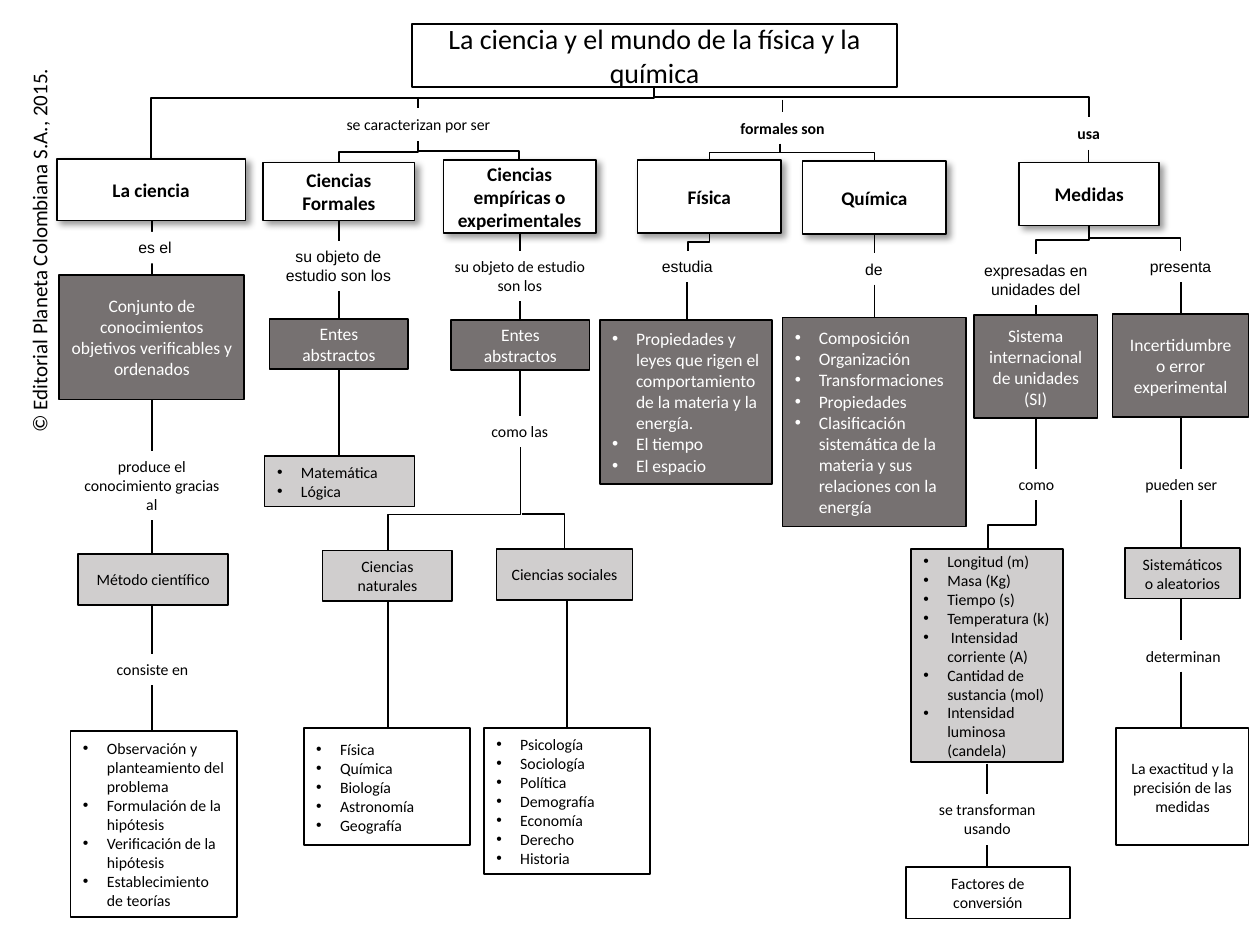
from dataclasses import dataclass

from lxml import etree
from pptx import Presentation, util as u
from pptx.dml.color import RGBColor
from pptx.enum import shapes, text
from pptx.oxml.ns import qn


@dataclass(frozen=True)
class Level:
    """Look of one level of the concept map."""

    fill: str = "FFFFFF"
    ink: str = "000000"
    size: int = 9
    bold: bool = False
    shadow: bool = False


@dataclass(frozen=True)
class Theme:
    """Colours, fonts and type sizes of the slide."""

    ink: str = "000000"
    paper: str = "FFFFFF"
    body: str = "Calibri"
    alternate: str = "Arial"
    label: int = 9
    credit: int = 12
    line: float = 1
    title = Level(size=16)
    concept = Level(size=11, bold=True, shadow=True)
    object = Level("767171", "FFFFFF", 10)
    branch = Level("D0CECE")
    leaf = Level()


def write(shape, content, *, size, font, color, bold=False, align=text.PP_ALIGN.CENTER):
    """Fill a shape with one paragraph, or with bullets when content is a list."""
    bulleted = isinstance(content, list)
    frame = shape.text_frame
    for index, line in enumerate(content if bulleted else [content]):
        paragraph = frame.add_paragraph() if index else frame.paragraphs[0]
        paragraph.alignment = text.PP_ALIGN.LEFT if bulleted else align
        if bulleted:
            properties = paragraph._p.get_or_add_pPr()
            properties.set("marL", str(u.Inches(0.19)))
            properties.set("indent", str(-u.Inches(0.19)))
            etree.SubElement(properties, qn("a:buFont"), typeface="Arial")
            etree.SubElement(properties, qn("a:buChar"), char="•")
        run = paragraph.add_run()
        run.text = line
        run.font.name, run.font.size, run.font.bold = font, u.Pt(size), bold
        run.font.color.rgb = RGBColor.from_string(color)


class ConceptMap:
    """Draws map parts on a grid of 100 columns by 75 rows."""

    def __init__(self, slide, theme, cell):
        """Keep the slide, its theme and the grid cell."""
        self.slide, self.theme, self.cell = slide, theme, cell

    def place(self, *lengths):
        """Turn grid lengths into slide lengths."""
        return [round(length * self.cell) for length in lengths]

    def box(self, level, content, left, top, width, height):
        """Add a framed box of the given level."""
        shape = self.slide.shapes.add_shape(
            shapes.MSO_SHAPE.RECTANGLE, *self.place(left, top, width, height))
        shape.shadow.inherit = False
        shape.fill.solid()
        shape.fill.fore_color.rgb = RGBColor.from_string(level.fill)
        shape.line.color.rgb = RGBColor.from_string(self.theme.ink)
        shape.line.width = u.Pt(self.theme.line)
        shape.text_frame.word_wrap = True
        shape.text_frame.vertical_anchor = text.MSO_ANCHOR.MIDDLE
        if level.shadow:
            effects = shape._element.spPr.find(qn("a:effectLst"))
            shadow = etree.SubElement(effects, qn("a:outerShdw"), blurRad=str(u.Pt(4)),
                                      dist=str(u.Pt(3)), dir="2700000", algn="tl")
            tint = etree.SubElement(shadow, qn("a:srgbClr"), val=self.theme.ink)
            etree.SubElement(tint, qn("a:alpha"), val="40000")
        write(shape, content, size=level.size, font=self.theme.body,
              color=level.ink, bold=level.bold)

    def label(self, content, left, top, width, height=2.5, font=None, wrap=True,
              turn=0, filled=False, **style):
        """Add a linking phrase without a frame."""
        area = self.slide.shapes.add_textbox(*self.place(left, top, width, height))
        area.rotation = turn
        area.text_frame.word_wrap = wrap
        area.text_frame.auto_size = text.MSO_AUTO_SIZE.SHAPE_TO_FIT_TEXT
        if filled:
            area.fill.solid()
            area.fill.fore_color.rgb = RGBColor.from_string(self.theme.paper)
        write(area, content, **{"size": self.theme.label, "color": self.theme.ink,
                                "font": font or self.theme.body, **style})

    def link(self, x1, y1, x2, y2, kind=shapes.MSO_CONNECTOR.STRAIGHT):
        """Add a connector between two grid points."""
        connector = self.slide.shapes.add_connector(kind, *self.place(x1, y1, x2, y2))
        connector.line.color.rgb = RGBColor.from_string(self.theme.ink)
        connector.line.width = u.Pt(self.theme.line)
        etree.SubElement(connector._element.spPr, qn("a:effectLst"))
        return connector

    def elbow(self, x1, y1, x2, y2, bend=0.5):
        """Add a link that goes down, across at the bend share, and down again."""
        middle_x, middle_y = (x1 + x2) / 2, (y1 + y2) / 2
        run, drop = abs(x2 - x1) / 2, (y2 - y1) / 2
        connector = self.link(middle_x - drop, middle_y - run, middle_x + drop,
                              middle_y + run, shapes.MSO_CONNECTOR.ELBOW)
        frame = connector._element.spPr.find(qn("a:xfrm"))
        frame.set("rot", "5400000")
        if x2 > x1:
            frame.set("flipV", "1")
        geometry = connector._element.spPr.find(qn("a:prstGeom"))
        guides = geometry.find(qn("a:avLst"))
        if guides is None:
            guides = etree.SubElement(geometry, qn("a:avLst"))
        etree.SubElement(guides, qn("a:gd"), name="adj1", fmla=f"val {round(bend * 100000)}")


def main():
    """Build and save the concept map."""
    deck = Presentation()
    deck.slide_width, deck.slide_height = u.Inches(10), u.Inches(7.5)
    theme = Theme()
    chart = ConceptMap(deck.slides.add_slide(deck.slide_layouts[6]), theme,
                       deck.slide_width / 100)

    stems = {
        12.05: [(17.5, 21.8), (31.7, 35.8), (41.3, 44), (48, 51.9), (54.4, 58)],
        26.9: [(17.5, 19.1), (23.1, 25.3), (29.3, 36.2)],
        30.8: [(47.7, 57.8)],
        33.2: [(7.7, 8.6)],
        41.25: [(18.4, 19.9), (23.9, 25.4), (29.4, 33)],
        45: [(47.6, 57.8)],
        54.55: [(22.4, 25.4)],
        62.1: [(7.9, 8.9)],
        69.4: [(18.6, 20.1), (22.6, 25.2)],
        78.35: [(60.6, 63), (67.1, 68.8)],
        82.2: [(24.2, 25), (33.2, 37.2)],
        86.4: [(11.9, 12.9)],
        93.75: [(22.4, 24.9), (33.1, 37.2), (39.7, 43.5), (47.4, 50.8), (53.3, 57.8)],
    }
    for x, spans in stems.items():
        for top, bottom in spans:
            chart.link(x, top, x, bottom)
    for bend in [
        (51.9, 6.9, 12, 12.6, 0.15), (51.9, 7.7, 86.4, 9.3, 0),
        (33.2, 11.2, 26.9, 12.9), (33.2, 12, 41.2, 12.7, 0),
        (61.9, 11.4, 69.4, 12.8), (62, 12.1, 56.3, 12.7, 0),
        (56.3, 18.5, 54.6, 19.9), (86.4, 17.9, 82.2, 20.2),
        (86.4, 17.9, 93.7, 19.9), (82.2, 39.7, 78.4, 43.6),
        (41.3, 35.5, 30.8, 43.7, 0.65), (41.4, 40.8, 44.8, 43.6, 0),
    ]:
        chart.elbow(*bend)

    boxes = [
        (theme.title, "La ciencia y el mundo de la física y la química", 32.7, 1.9, 38.5, 5),
        (theme.concept, "La ciencia", 4.5, 12.6, 15, 4.9),
        (theme.concept, "Ciencias Formales", 20.9, 12.9, 12, 4.6),
        (theme.concept, "Ciencias empíricas o experimentales", 35.2, 12.7, 12.1, 5.8),
        (theme.concept, "Física", 50.6, 12.7, 11.4, 5.8),
        (theme.concept, "Química", 63.7, 12.8, 11.4, 5.8),
        (theme.concept, "Medidas", 80.9, 12.9, 11.1, 5),
        (theme.object, "Conjunto de conocimientos objetivos verificables y ordenados",
         4.7, 21.8, 14.7, 9.9),
        (theme.object, "Entes abstractos", 21.4, 25.3, 11, 4),
        (theme.object, "Entes abstractos", 35.8, 25.4, 11, 4),
        (theme.object, ["Propiedades y leyes que rigen el comportamiento de la materia y la energía.",
                        "El tiempo", "El espacio"], 47.6, 25.4, 13.7, 13),
        (theme.object, ["Composición", "Organización", "Transformaciones", "Propiedades",
                        "Clasificación sistemática de la materia y sus relaciones con la energía"],
         62.1, 25.2, 14.6, 16.6),
        (theme.object, "Sistema internacional de unidades (SI)", 77.3, 25, 9.8, 8.2),
        (theme.object, "Incertidumbre o error experimental", 88.3, 24.9, 10.8, 8.2),
        (theme.branch, "Método científico", 6.2, 44, 11.9, 4),
        (theme.branch, ["Matemática", "Lógica"], 21, 36.2, 11.9, 4),
        (theme.branch, "Ciencias naturales", 25.6, 43.7, 10.3, 4),
        (theme.branch, "Ciencias sociales", 39.4, 43.6, 10.8, 4),
        (theme.branch, ["Longitud (m)", "Masa (Kg)", "Tiempo (s)", "Temperatura (k)",
                        " Intensidad corriente (A)", "Cantidad de sustancia (mol)",
                        "Intensidad luminosa (candela)"], 72.3, 43.6, 12.1, 16.9),
        (theme.branch, "Sistemáticos o aleatorios", 89.3, 43.5, 9.1, 4),
        (theme.leaf, ["Observación y planteamiento del problema", "Formulación de la hipótesis",
                      "Verificación de la hipótesis", "Establecimiento de teorías"],
         5.6, 58, 13.2, 14.8),
        (theme.leaf, ["Física", "Química", "Biología", "Astronomía", "Geografía"],
         24.1, 57.8, 13.2, 9.3),
        (theme.leaf, ["Psicología", "Sociología", "Política", "Demografía", "Economía",
                      "Derecho", "Historia"], 38.4, 57.8, 13.2, 11.6),
        (theme.leaf, "Factores de conversión", 71.9, 68.8, 13, 4.1),
        (theme.leaf, "La exactitud y la precisión de las medidas", 88.6, 57.8, 10.5, 9.3),
    ]
    for box in boxes:
        chart.box(*box)

    for phrase in [
        ("se caracterizan por ser", 25.8, 8.6, 14.8),
        ("produce el conocimiento gracias al", 5.6, 35.8, 12.9, 5.6),
        ("consiste en", 4.5, 51.9, 15.2),
        ("su objeto de estudio son los", 34.8, 19.9, 12.9, 4),
        ("como las", 34.8, 33, 12.9), ("como", 75.8, 37.2, 12.9),
        ("se transforman usando", 71.7, 63, 13.3, 4),
        ("pueden ser", 87.3, 37.2, 12.9), ("determinan", 88.7, 50.8, 10.4),
        ("su objeto de estudio son los", 20.4, 19.1, 12.9, 4, theme.alternate),
        ("estudia", 48.1, 19.9, 12.9, 2.5, theme.alternate),
        ("de", 67.3, 20.1, 4.1, 2.5, theme.alternate),
        ("expresadas en unidades del", 76.6, 20.2, 11.2, 4, theme.alternate),
        ("presenta", 89.4, 19.9, 8.6, 2.5, theme.alternate),
    ]:
        chart.label(*phrase)
    chart.label("formales son", 54.7, 8.9, 14.8, bold=True)
    chart.label("usa", 77.8, 9.3, 17.2, bold=True)
    chart.label("es el", 10, 18.4, 5.1, font=theme.alternate, filled=True,
                align=text.PP_ALIGN.LEFT)
    chart.label("© Editorial Planeta Colombiana S.A., 2015.", -12.5, 18.2, 31.2, 3,
                wrap=False, turn=270, size=theme.credit, align=text.PP_ALIGN.LEFT)
    deck.save("out.pptx")


if __name__ == "__main__":
    main()
